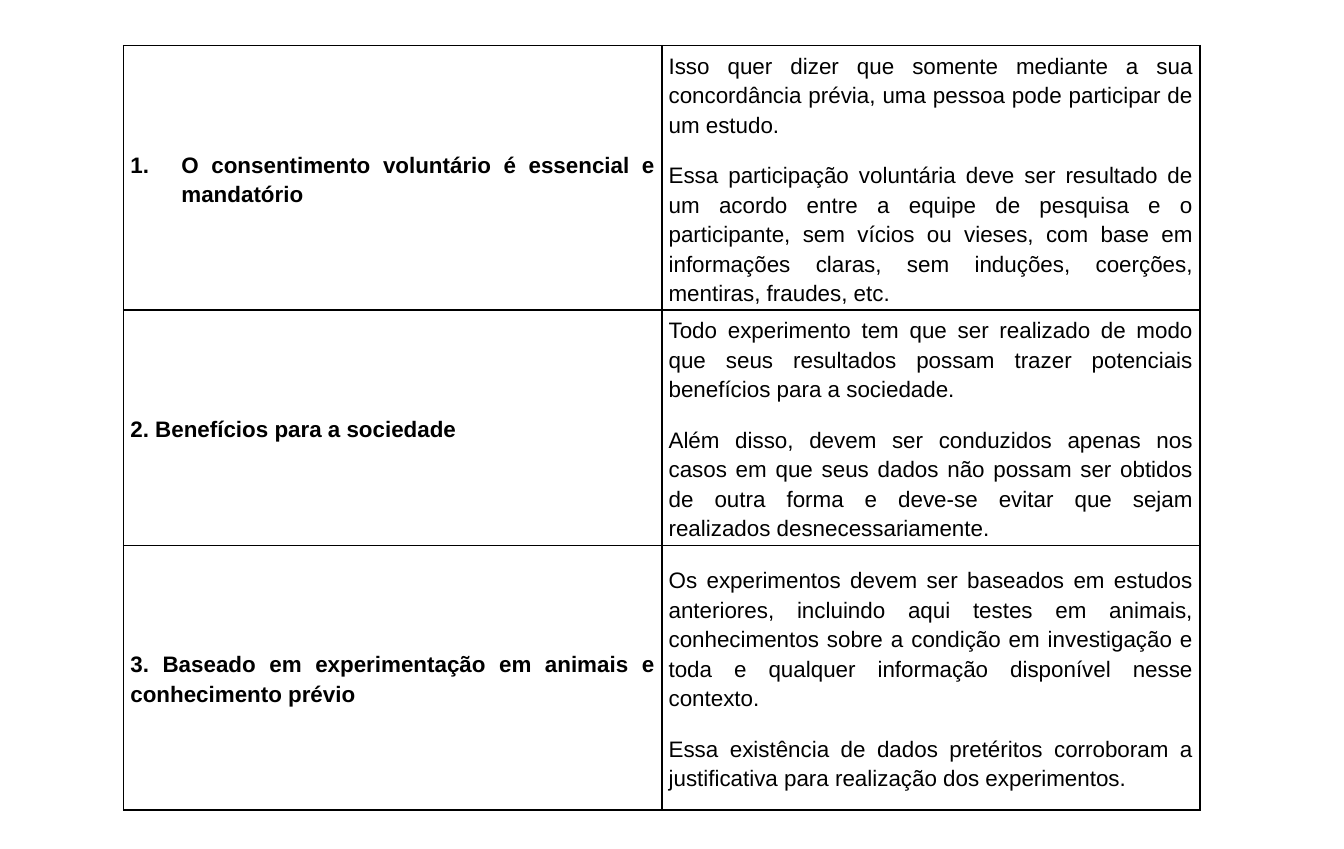
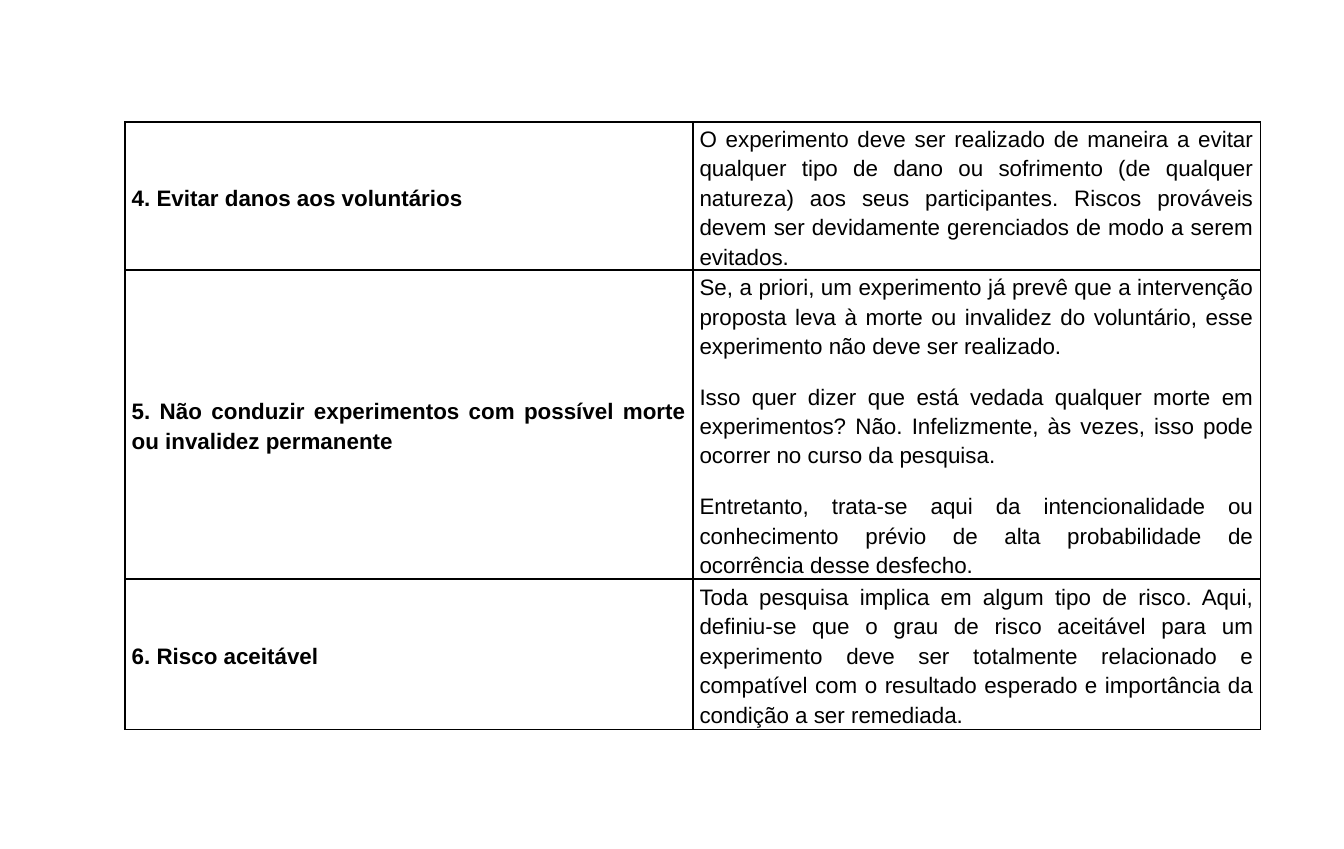
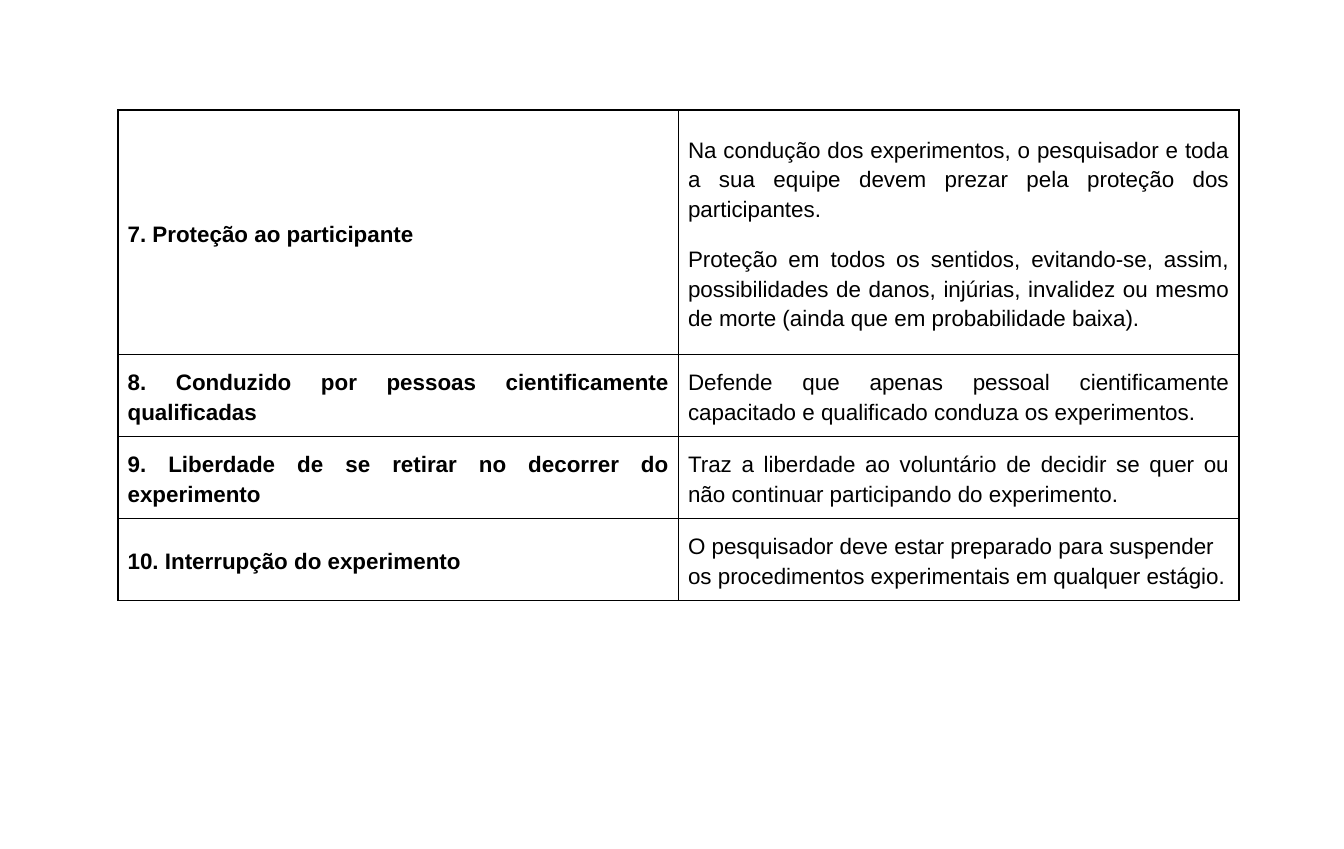
from dataclasses import dataclass

from lxml import etree
from pptx import Presentation
from pptx.dml.color import RGBColor
from pptx.enum.text import MSO_ANCHOR, PP_ALIGN
from pptx.oxml.ns import qn
from pptx.util import Inches, Pt

MIDDLE = MSO_ANCHOR.MIDDLE
JUSTIFY = PP_ALIGN.JUSTIFY
LEFT = PP_ALIGN.LEFT
BLANK_LAYOUT = 6


@dataclass(frozen=True)
class Theme:
    """Colours, type sizes and spacing shared by every slide."""

    ink: str = "000000"
    font: str = "Arial"
    size: float = 12
    line_spacing: float = 15.8
    space_after: float = 11.3
    border: float = 1
    number_indent: float = 0.38


@dataclass(frozen=True)
class Principle:
    """One row: a bold title and the paragraphs that explain it."""

    height: float
    title: str
    paragraphs: tuple
    numbered: bool = False
    align: PP_ALIGN = JUSTIFY


def apply(target, values):
    """Set every attribute of the target from a dict."""
    for name, value in values.items():
        setattr(target, name, value)


class PrinciplesDeck:
    """Builds slides that each hold one table of principles."""

    def __init__(self, theme, width, height):
        """Start an empty presentation of the given size."""
        self.theme = theme
        self.deck = Presentation()
        apply(self.deck, {"slide_width": Inches(width), "slide_height": Inches(height)})
        self.slide = None

    def add_slide(self):
        """Add a blank slide and make it current."""
        self.slide = self.deck.slides.add_slide(self.deck.slide_layouts[BLANK_LAYOUT])

    def add_principles(self, left, top, width, margin, principles):
        """Add a two-column table with one row per principle."""
        total_height = sum(principle.height for principle in principles)
        table = self.slide.shapes.add_table(
            len(principles), 2, Inches(left), Inches(top), Inches(width), Inches(total_height)
        ).table
        apply(table, {"first_row": False, "horz_banding": False})
        for row, principle in zip(table.rows, principles):
            row.height = Inches(principle.height)
            title_cell, text_cell = row.cells
            self.fill_cell(title_cell, margin, [principle.title], JUSTIFY, bold=True)
            self.fill_cell(text_cell, margin, principle.paragraphs, principle.align)
            if principle.numbered:
                self.add_number(title_cell.text_frame.paragraphs[0])

    def fill_cell(self, cell, margin, texts, align, bold=False):
        """Fill a cell with paragraphs and draw its frame."""
        apply(cell, {
            "vertical_anchor": MIDDLE,
            "margin_left": Inches(margin),
            "margin_right": Inches(margin),
            "margin_top": 0,
            "margin_bottom": 0,
        })
        cell.fill.background()
        self.add_borders(cell)
        frame = cell.text_frame
        for index, text in enumerate(texts):
            para = frame.add_paragraph() if index else frame.paragraphs[0]
            self.add_text(para, text, align, bold)

    def add_text(self, para, text, align, bold):
        """Add formatted text to a paragraph."""
        apply(para, {
            "alignment": align,
            "line_spacing": Pt(self.theme.line_spacing),
            "space_after": Pt(self.theme.space_after),
        })
        span = para.add_run()
        span.text = text
        apply(span.font, {"name": self.theme.font, "size": Pt(self.theme.size), "bold": bold})
        span.font.color.rgb = RGBColor.from_string(self.theme.ink)

    def add_number(self, para):
        """Give a paragraph an automatic number with a hanging indent."""
        indent = Inches(self.theme.number_indent)
        properties = para._p.get_or_add_pPr()
        properties.set("marL", str(indent))
        properties.set("indent", str(-indent))
        etree.SubElement(properties, qn("a:buAutoNum"), type="arabicPeriod")

    def add_borders(self, cell):
        """Draw a solid line on all four sides of a cell."""
        properties = cell._tc.get_or_add_tcPr()
        for index, side in enumerate(("lnL", "lnR", "lnT", "lnB")):
            line = etree.Element(qn(f"a:{side}"), w=str(Pt(self.theme.border)))
            fill = etree.SubElement(line, qn("a:solidFill"))
            etree.SubElement(fill, qn("a:srgbClr"), val=self.theme.ink)
            properties.insert(index, line)


CONSENT_TO_EVIDENCE = [
    Principle(1.97, "O consentimento voluntário é essencial e mandatório", (
        "Isso quer dizer que somente mediante a sua concordância prévia, uma pessoa pode "
        "participar de um estudo.",
        "Essa participação voluntária deve ser resultado de um acordo entre a equipe de "
        "pesquisa e o participante, sem vícios ou vieses, com base em informações claras, "
        "sem induções, coerções, mentiras, fraudes, etc.",
    ), numbered=True),
    Principle(1.75, "2. Benefícios para a sociedade", (
        "Todo experimento tem que ser realizado de modo que seus resultados possam trazer "
        "potenciais benefícios para a sociedade.",
        "Além disso, devem ser conduzidos apenas nos casos em que seus dados não possam ser "
        "obtidos de outra forma e deve-se evitar que sejam realizados desnecessariamente.",
    )),
    Principle(1.97, "3. Baseado em experimentação em animais e conhecimento prévio", (
        "Os experimentos devem ser baseados em estudos anteriores, incluindo aqui testes em "
        "animais, conhecimentos sobre a condição em investigação e toda e qualquer "
        "informação disponível nesse contexto.",
        "Essa existência de dados pretéritos corroboram a justificativa para realização dos "
        "experimentos.",
    )),
]

HARM_AND_RISK = [
    Principle(1.1, "4. Evitar danos aos voluntários", (
        "O experimento deve ser realizado de maneira a evitar qualquer tipo de dano ou "
        "sofrimento (de qualquer natureza) aos seus participantes. Riscos prováveis devem "
        "ser devidamente gerenciados de modo a serem evitados.",
    )),
    Principle(2.3, "5. Não conduzir experimentos com possível morte ou invalidez permanente", (
        "Se, a priori, um experimento já prevê que a intervenção proposta leva à morte ou "
        "invalidez do voluntário, esse experimento não deve ser realizado.",
        "Isso quer dizer que está vedada qualquer morte em experimentos? Não. Infelizmente, "
        "às vezes, isso pode ocorrer no curso da pesquisa.",
        "Entretanto, trata-se aqui da intencionalidade ou conhecimento prévio de alta "
        "probabilidade de ocorrência desse desfecho.",
    )),
    Principle(1.12, "6. Risco aceitável", (
        "Toda pesquisa implica em algum tipo de risco. Aqui, definiu-se que o grau de risco "
        "aceitável para um experimento deve ser totalmente relacionado e compatível com o "
        "resultado esperado e importância da condição a ser remediada.",
    )),
]

PROTECTION_TO_INTERRUPTION = [
    Principle(1.82, "7. Proteção ao participante", (
        "Na condução dos experimentos, o pesquisador e toda a sua equipe devem prezar pela "
        "proteção dos participantes.",
        "Proteção em todos os sentidos, evitando-se, assim, possibilidades de danos, "
        "injúrias, invalidez ou mesmo de morte (ainda que em probabilidade baixa).",
    )),
    Principle(0.61, "8. Conduzido por pessoas cientificamente qualificadas", (
        "Defende que apenas pessoal cientificamente capacitado e qualificado conduza os "
        "experimentos.",
    )),
    Principle(0.61, "9. Liberdade de se retirar no decorrer do experimento", (
        "Traz a liberdade ao voluntário de decidir se quer ou não continuar participando do "
        "experimento.",
    )),
    Principle(0.61, "10. Interrupção do experimento", (
        "O pesquisador deve estar preparado para suspender os procedimentos experimentais "
        "em qualquer estágio.",
    ), align=LEFT),
]

TABLES = [
    {"left": 0.92, "top": 0.34, "width": 8.01, "margin": 0.05,
     "principles": CONSENT_TO_EVIDENCE},
    {"left": 0.93, "top": 0.91, "width": 8.45, "margin": 0.05,
     "principles": HARM_AND_RISK},
    {"left": 0.88, "top": 0.82, "width": 8.34, "margin": 0.07,
     "principles": PROTECTION_TO_INTERRUPTION},
]


def main():
    """Build one slide per table and save the deck."""
    builder = PrinciplesDeck(Theme(), 10, 6.32)
    for table in TABLES:
        builder.add_slide()
        builder.add_principles(**table)
    builder.deck.save("out.pptx")


if __name__ == "__main__":
    main()
